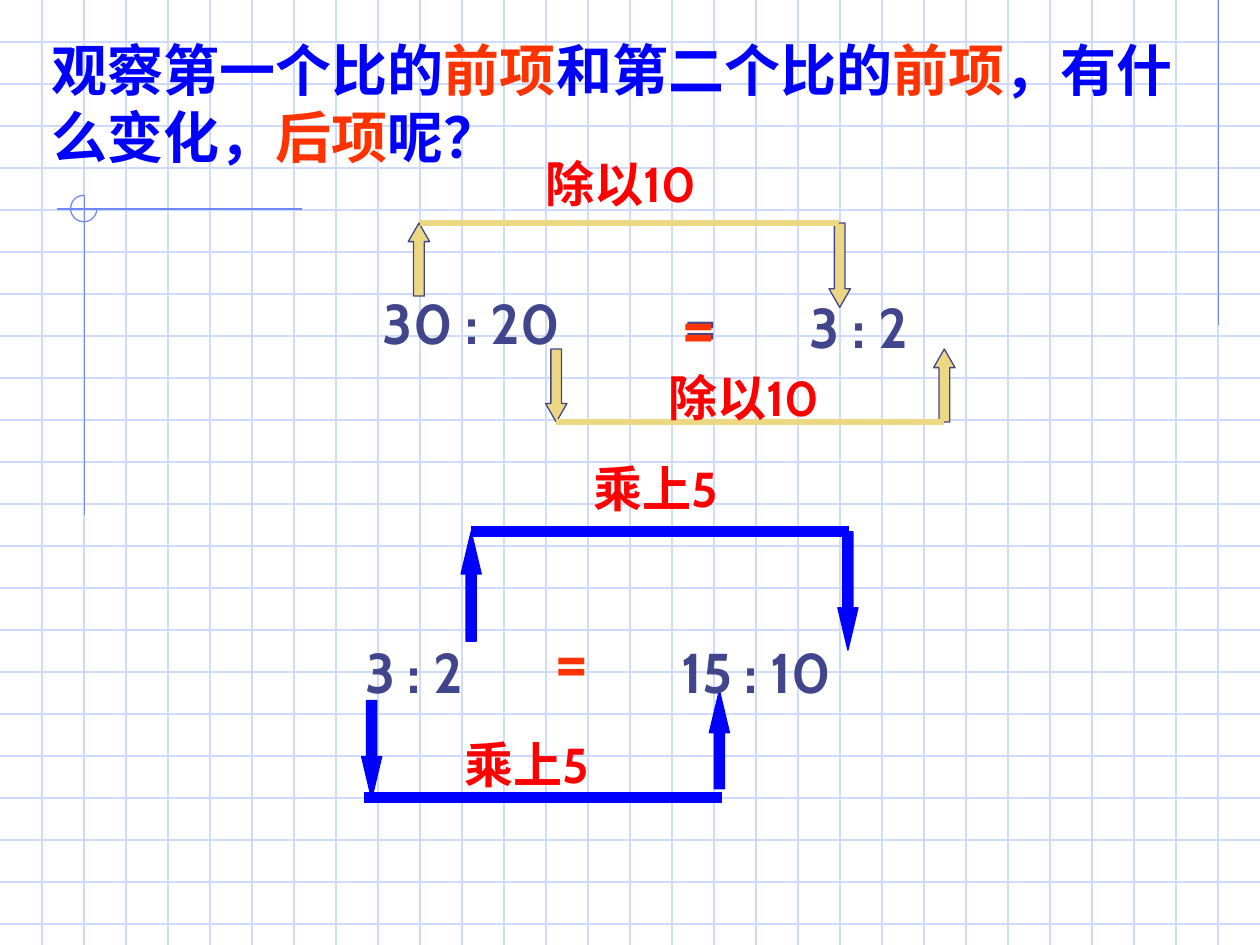
from pptx import Presentation
from pptx.dml.color import RGBColor
from pptx.enum.shapes import MSO_CONNECTOR, MSO_SHAPE
from pptx.oxml.ns import qn
from pptx.util import Inches, Pt
from lxml import etree

STRAIGHT = MSO_CONNECTOR.STRAIGHT
UP, DOWN, ARC = MSO_SHAPE.UP_ARROW, MSO_SHAPE.DOWN_ARROW, MSO_SHAPE.ARC

FONT = "Cabin"
WIDE, HIGH, STEP = 10, 7.5, 1 / 3
HEX = {
    "grid": "CFDBFD", "trim": "6F89F7", "gold": "ECD882", "slate": "40458C",
    "blue": "0000FF", "red": "FF0000", "orange": "FF3300",
}

TITLE = [
    ("观察第一个比的", "blue"), ("前项", "orange"), ("和第二个比的", "blue"),
    ("前项", "orange"), ("，有什么变化，", "blue"), ("后项", "orange"),
    ("呢？", "blue"),
]

# x1, y1, x2, y2
TRIM = [(9.67, 0, 9.67, 2.58), (2.4, 1.66, 0.45, 1.66), (0.67, 1.55, 0.67, 4.09)]

# text, left, top, width, height, size, colour
LABELS = [
    ("30 : 20", 2.94, 2.24, 2.38, 0.64, 32, "slate"),
    ("3 : 2", 6.33, 2.27, 2.08, 0.64, 32, "slate"),
    ("=", 5.33, 2.18, 0.75, 0.77, 40, "slate"),
    ("=", 5.31, 2.19, 0.55, 0.77, 40, "orange"),
    ("除以10", 4.23, 1.17, 1.66, 0.57, 28, "red"),
    ("除以10", 5.21, 2.87, 1.75, 0.57, 28, "red"),
    ("3 : 2", 2.8, 5.01, 1.26, 0.64, 32, "slate"),
    ("15 : 10", 5.31, 5.01, 2.08, 0.64, 32, "slate"),
    ("=", 4.3, 4.84, 0.55, 0.77, 40, "orange"),
    ("乘上5", 4.61, 3.59, 1.75, 0.57, 28, "red"),
    ("乘上5", 3.59, 5.78, 1.5, 0.57, 28, "red"),
]

# arrow width, head length over width, fill, outline, bar weight
GOLD = (0.17, 0.87, "gold", "slate", 3)
BLUE = (0.16, 2.1, "blue", "blue", 6)

# style, two arrows (kind, left, top, height), bar (x1, x2, y)
LINKS = [
    (GOLD, [(UP, 3.24, 1.77, 0.58), (DOWN, 6.58, 1.77, 0.67)], (3.33, 6.66, 1.77)),
    (GOLD, [(DOWN, 4.33, 2.77, 0.58), (UP, 7.41, 2.77, 0.58)], (4.41, 7.49, 3.35)),
    (BLUE, [(UP, 3.66, 4.22, 0.87), (DOWN, 6.65, 4.22, 0.94)], (3.74, 6.74, 4.22)),
    (BLUE, [(DOWN, 2.87, 5.56, 0.78), (UP, 5.63, 5.48, 0.78)], (2.89, 5.73, 6.33)),
]


def color(name):
    return RGBColor.from_string(HEX[name])


def add_line(x1, y1, x2, y2, tint, weight=0.75):
    line = slide.shapes.add_connector(
        STRAIGHT, Inches(x1), Inches(y1), Inches(x2), Inches(y2))
    line.line.color.rgb = color(tint)
    line.line.width = Pt(weight)
    etree.SubElement(line._element.spPr, qn("a:effectLst"))


def add_form(kind, left, top, width, height, adjust, edge, fill=None):
    form = slide.shapes.add_shape(
        kind, Inches(left), Inches(top), Inches(width), Inches(height))
    form.shadow.inherit = False
    for i, value in enumerate(adjust):
        form.adjustments[i] = value
    if fill:
        form.fill.solid()
        form.fill.fore_color.rgb = color(fill)
    else:
        form.fill.background()
    form.line.color.rgb = color(edge)
    form.line.width = Pt(0.75)


def add_text(runs, left, top, width, height, size=32):
    box = slide.shapes.add_textbox(
        Inches(left), Inches(top), Inches(width), Inches(height))
    frame = box.text_frame
    frame.word_wrap = True
    for text, tint in runs:
        run = frame.paragraphs[0].add_run()
        run.text = text
        run.font.name = FONT
        run.font.size = Pt(size)
        run.font.bold = True
        run.font.color.rgb = color(tint)


deck = Presentation()
deck.slide_width, deck.slide_height = Inches(WIDE), Inches(HIGH)
slide = deck.slides.add_slide(deck.slide_layouts[6])

for i in range(1, int(HIGH / STEP) + 1):
    add_line(0, i * STEP, WIDE, i * STEP, "grid")
for i in range(1, round(WIDE / STEP)):
    add_line(i * STEP, 0, i * STEP, HIGH, "grid")
for ends in TRIM:
    add_line(*ends, "trim")
# Angles are in 1/60000 degree, over 100000: from 0 to 270 degrees
add_form(ARC, 0.56, 1.55, 0.21, 0.21, (0, 162), "trim")

for (width, head, fill, edge, weight), arrows, (x1, x2, y) in LINKS:
    for kind, left, top, height in arrows:
        add_form(kind, left, top, width, height, (0.5, head), edge, fill)
    add_line(x1, y, x2, y, fill, weight)

add_text(TITLE, 0.31, 0.23, 9.25, 1.3)
for text, left, top, width, height, size, tint in LABELS:
    add_text([(text, tint)], left, top, width, height, size=size)

deck.save("out.pptx")
